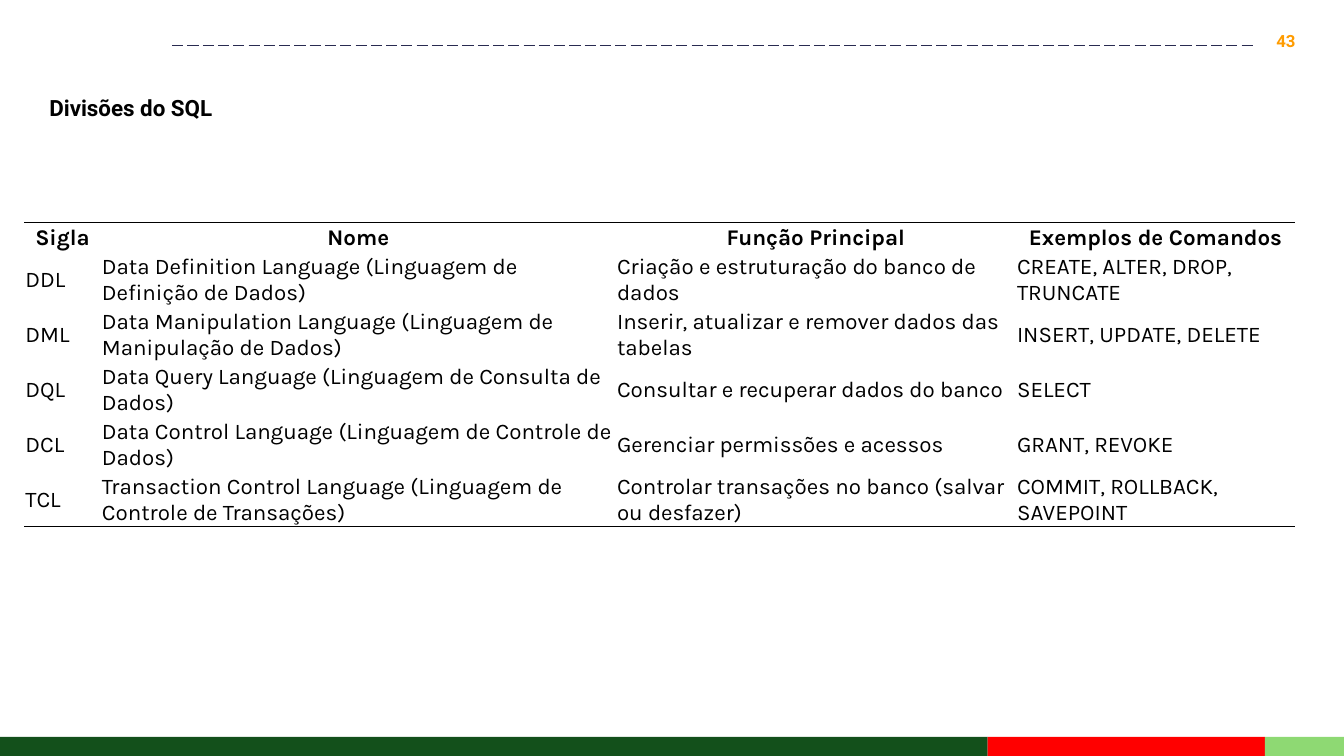
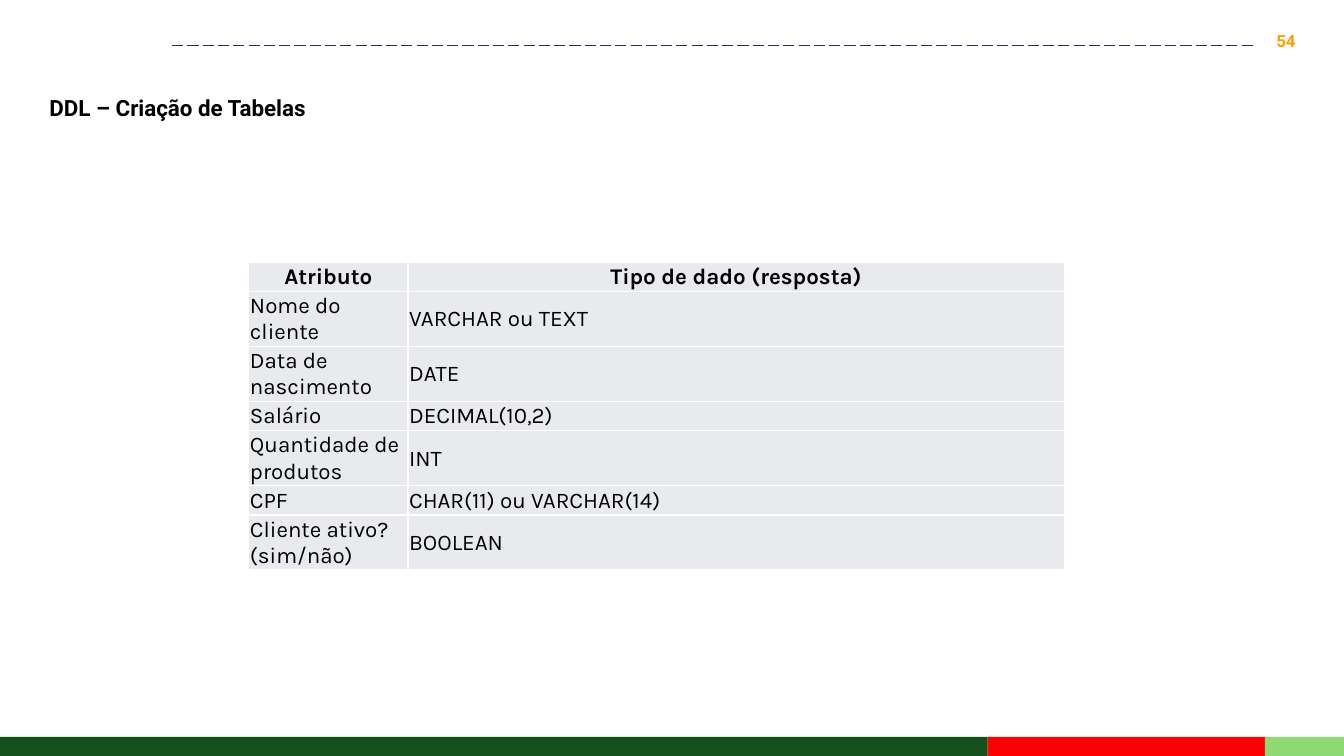
from lxml import etree
from pptx import Presentation
from pptx.dml.color import RGBColor
from pptx.enum.dml import MSO_LINE
from pptx.enum.shapes import MSO_CONNECTOR, MSO_SHAPE
from pptx.enum.text import MSO_ANCHOR, MSO_AUTO_SIZE, PP_ALIGN
from pptx.oxml.ns import qn
from pptx.util import Cm, Pt

LEFT, CENTER, RIGHT = PP_ALIGN.LEFT, PP_ALIGN.CENTER, PP_ALIGN.RIGHT
TOP, MIDDLE = MSO_ANCHOR.TOP, MSO_ANCHOR.MIDDLE
FIT_SHAPE = MSO_AUTO_SIZE.SHAPE_TO_FIT_TEXT
RECT, STRAIGHT, DASH = MSO_SHAPE.RECTANGLE, MSO_CONNECTOR.STRAIGHT, MSO_LINE.LONG_DASH

COLORS = {
    "text": "000000", "number": "FF9C00", "rule": "292B51", "cell": "E8EAED",
    "grid": "FFFFFF", "green": "13501B", "red": "FF0000", "light": "8ED973",
}
TITLE_FONT = {"name": "Roboto", "size": Pt(16), "bold": True}
NUMBER_FONT = {"name": "Roboto", "size": Pt(12), "bold": True}
HEAD_FONT = {"name": "Karla", "size": Pt(16), "bold": True}
BODY_FONT = {**HEAD_FONT, "bold": False}
CELL_FORMAT = {
    "margin_left": Cm(0.03), "margin_right": Cm(0.03), "margin_top": Cm(0.03),
    "margin_bottom": 0, "vertical_anchor": MIDDLE,
}
BANDS = [(24.89, "green"), (6.99, "red"), (1.99, "light")]
ROW_HEIGHT = Cm(0.74)
NO_STYLE = "{2D5ABB26-0587-4C30-8999-92F81FD0307C}"

SLIDES = [
    {
        "number": "43", "title": "Divisões do SQL",
        "at": (0.61, 5.61), "cols": [1.93, 12.98, 10.08, 7.04], "grid": False,
        "rows": [
            ("Sigla", "Nome", "Função Principal", "Exemplos de Comandos"),
            ("DDL", "Data Definition Language (Linguagem de Definição de Dados)",
             "Criação e estruturação do banco de dados", "CREATE, ALTER, DROP, TRUNCATE"),
            ("DML", "Data Manipulation Language (Linguagem de Manipulação de Dados)",
             "Inserir, atualizar e remover dados das tabelas", "INSERT, UPDATE, DELETE"),
            ("DQL", "Data Query Language (Linguagem de Consulta de Dados)",
             "Consultar e recuperar dados do banco", "SELECT"),
            ("DCL", "Data Control Language (Linguagem de Controle de Dados)",
             "Gerenciar permissões e acessos", "GRANT, REVOKE"),
            ("TCL", "Transaction Control Language (Linguagem de Controle de Transações)",
             "Controlar transações no banco (salvar ou desfazer)",
             "COMMIT, ROLLBACK, SAVEPOINT"),
        ],
    },
    {
        "number": "54", "title": "DDL – Criação de Tabelas",
        "at": (6.27, 6.6), "cols": [4.01, 16.54], "grid": True,
        "rows": [
            ("Atributo", "Tipo de dado (resposta)"),
            ("Nome do cliente", "VARCHAR ou TEXT"),
            ("Data de nascimento", "DATE"),
            ("Salário", "DECIMAL(10,2)"),
            ("Quantidade de produtos", "INT"),
            ("CPF", "CHAR(11) ou VARCHAR(14)"),
            ("Cliente ativo? (sim/não)", "BOOLEAN"),
        ],
    },
]


def write(tf, text, font, color="text", align=LEFT):
    p = tf.paragraphs[0]
    p.alignment = align
    r = p.add_run()
    r.text = text
    for name, value in font.items():
        setattr(r.font, name, value)
    r.font.color.rgb = RGBColor.from_string(COLORS[color])
    return p


def add_borders(cell, sides, color):
    tc_pr = cell._tc.get_or_add_tcPr()
    for side in sides:
        ln = etree.SubElement(tc_pr, qn(f"a:ln{side}"), w=str(Pt(1)))
        fill = etree.SubElement(ln, qn("a:solidFill"))
        etree.SubElement(fill, qn("a:srgbClr"), val=COLORS[color])


prs = Presentation()
prs.slide_width, prs.slide_height = Cm(33.87), Cm(19.05)
title_only = prs.slide_layouts[5]

for content in SLIDES:
    s = prs.slides.add_slide(title_only)

    # Footer bands
    x = 0
    for width, color in BANDS:
        sp = s.shapes.add_shape(RECT, Cm(x), Cm(18.57), Cm(width), Cm(0.48))
        sp.shadow.inherit = False
        sp.fill.solid()
        sp.fill.fore_color.rgb = RGBColor.from_string(COLORS[color])
        sp.line.fill.background()
        x += width

    # Slide number
    tf = s.shapes.add_textbox(Cm(31.6), Cm(0.51), Cm(1.3), Cm(1.02)).text_frame
    tf.word_wrap = True
    tf.vertical_anchor = MIDDLE
    write(tf, content["number"], NUMBER_FONT, "number", RIGHT)

    # Dashed rule
    rule = s.shapes.add_connector(STRAIGHT, Cm(4.34), Cm(1.14), Cm(31.6), Cm(1.14))
    rule.line.color.rgb = RGBColor.from_string(COLORS["rule"])
    rule.line.width = Pt(1)
    rule.line.dash_style = DASH
    etree.SubElement(rule._element.spPr, qn("a:effectLst"))

    # Title
    title = s.shapes.title
    title.left, title.top, title.width, title.height = Cm(0.99), Cm(1.9), Cm(20.04), Cm(1.17)
    tf = title.text_frame
    tf.word_wrap = True
    tf.vertical_anchor = TOP
    tf.auto_size = FIT_SHAPE
    write(tf, content["title"], TITLE_FONT).line_spacing = 1.5

    # Table
    rows, cols = content["rows"], content["cols"]
    left, top = content["at"]
    table = s.shapes.add_table(len(rows), len(cols), Cm(left), Cm(top),
                               Cm(sum(cols)), ROW_HEIGHT * len(rows)).table
    table._tbl.tblPr.find(qn("a:tableStyleId")).text = NO_STYLE
    table.first_row = table.horz_banding = False
    for column, width in zip(table.columns, cols):
        column.width = Cm(width)
    for i, row in enumerate(rows):
        table.rows[i].height = ROW_HEIGHT
        for j, text in enumerate(row):
            cell = table.cell(i, j)
            for name, value in CELL_FORMAT.items():
                setattr(cell, name, value)
            if content["grid"]:
                add_borders(cell, "LRTB", "grid")
                cell.fill.solid()
                cell.fill.fore_color.rgb = RGBColor.from_string(COLORS["cell"])
            else:
                add_borders(cell, {0: "T", len(rows) - 1: "B"}.get(i, ""), "text")
                cell.fill.background()
            if i == 0:
                write(cell.text_frame, text, HEAD_FONT, align=CENTER)
            else:
                write(cell.text_frame, text, BODY_FONT)

prs.save("out.pptx")
